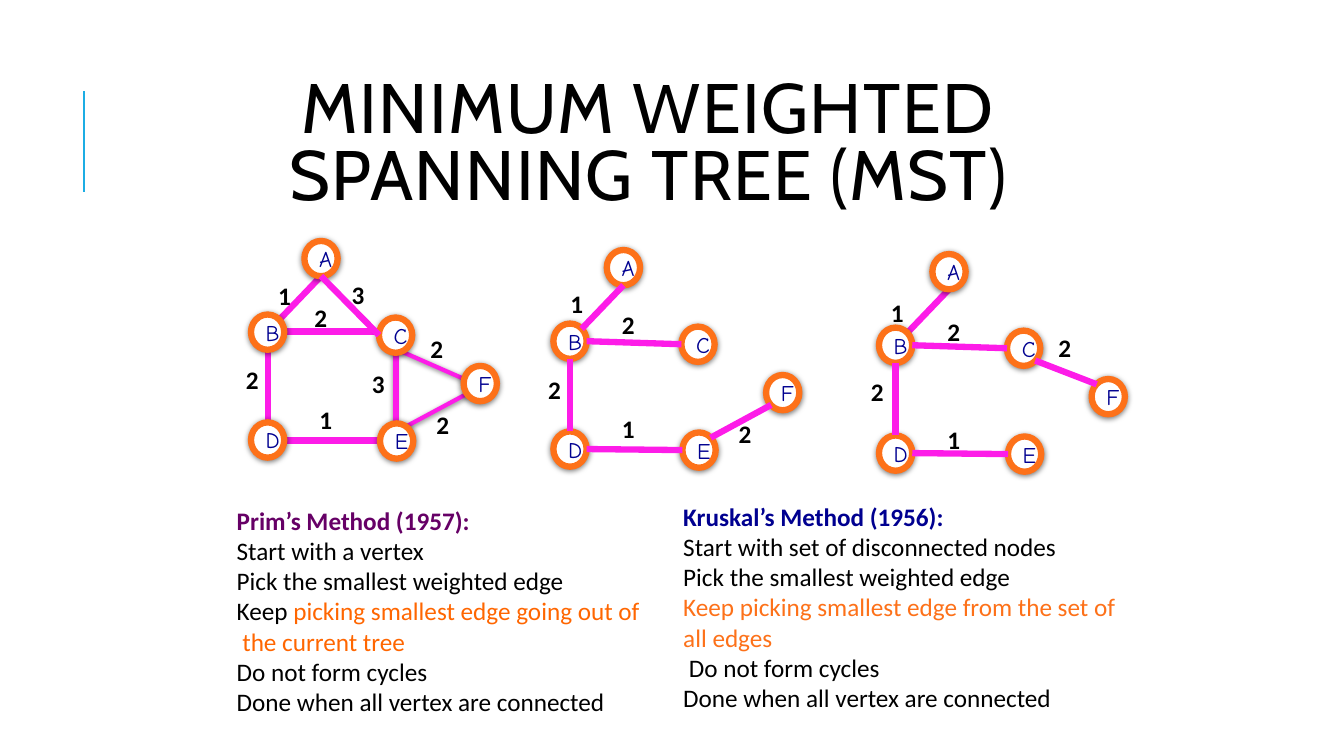
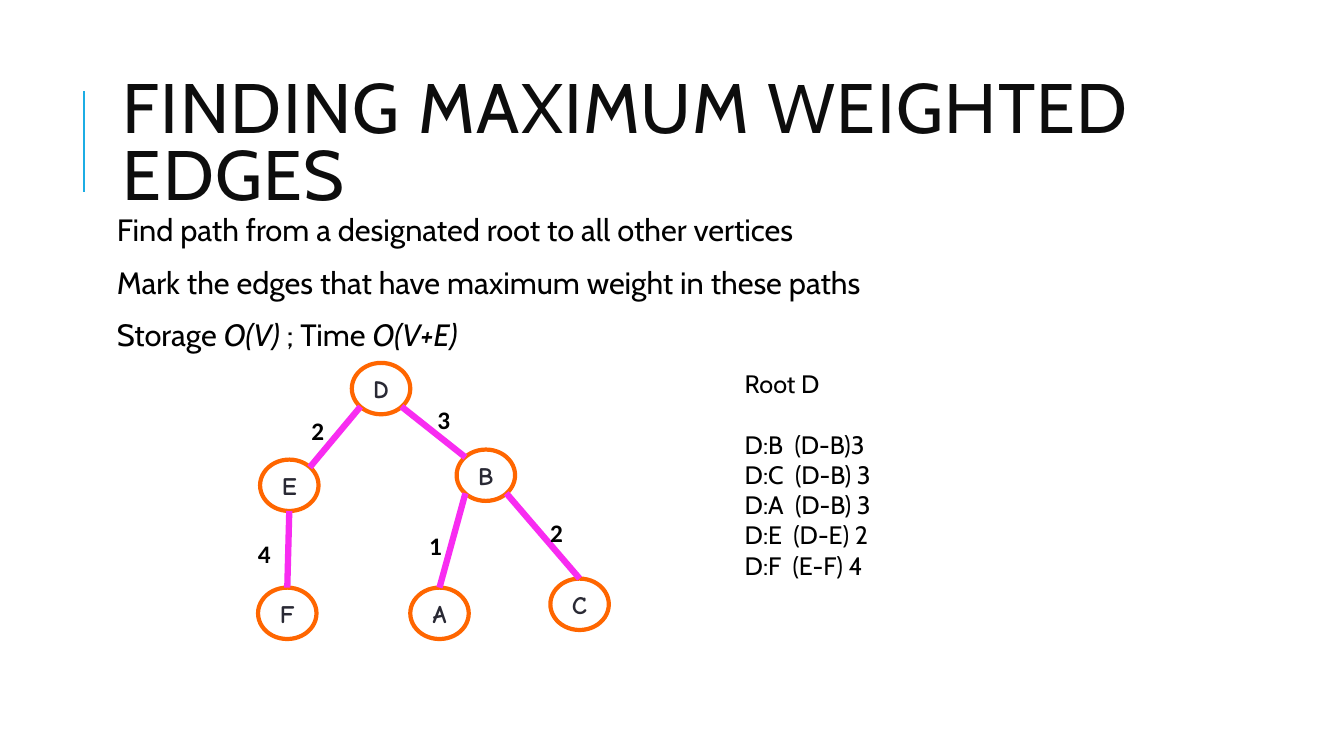
from dataclasses import dataclass, replace
from lxml.etree import SubElement as Sub
from pptx import Presentation
from pptx.dml.color import RGBColor as Rgb
from pptx.enum.shapes import MSO_CONNECTOR as Link, MSO_SHAPE as Form
from pptx.enum.text import MSO_ANCHOR as Anchor, MSO_AUTO_SIZE as Fit, PP_ALIGN as Align
from pptx.oxml.ns import qn
from pptx.util import Inches, Pt


@dataclass(frozen=True)
class Type:
    """Holds the look of one run of text."""
    font: str
    size: int
    color: str = "000000"
    bold: bool = False
    slant: bool = False


@dataclass(frozen=True)
class Ring:
    """Holds the look of a graph's nodes and edges."""
    wide: float
    high: float
    line: str
    width: float
    edge: str
    type: Type
    fill: str = ""
    shade: bool = False


class Theme:
    """Keeps the grid, colours and type sizes."""
    cell = 0.1
    cols, rows = 133.33, 75
    rule = "1CADE4"
    pink = "FD1CE8"
    bold = 4.5
    title = Type("Cabin", 50)
    lead = Type("Cabin", 22)
    note = Type("Cabin", 18)
    text = Type("Calibri", 18)
    mark = replace(text, bold=True)
    ring = Ring(3.3, 3.5, "FD7119", bold, pink,
                Type("Comic Neue", 16, "000090"), "FFFFFF", True)
    tree = Ring(5.8, 5.1, "FF6600", 3, "F82CF1",
                Type("Comic Neue", 18, "292934", True))


SITES = {"n": (0.5, 0), "s": (0.5, 1), "w": (0, 0.5), "e": (1, 0.5),
         "nw": (0.15, 0.15), "ne": (0.85, 0.15),
         "sw": (0.15, 0.85), "se": (0.85, 0.85)}


class Deck:
    """Draws the elements of a deck on its current slide."""

    def __init__(self, theme):
        """Starts an empty deck."""
        self.look = theme
        self.file = Presentation()
        self.file.slide_width = self.unit(theme.cols)
        self.file.slide_height = self.unit(theme.rows)

    def unit(self, count):
        """Turns grid cells into a length."""
        return Inches(count * self.look.cell)

    def box(self, *cells):
        """Turns a row of cell counts into lengths."""
        return [self.unit(c) for c in cells]

    def page(self, title, color, align):
        """Adds a slide with the side rule and its title."""
        self.slide = self.file.slides.add_slide(self.file.slide_layouts[5])
        self.line((8.3, 19), (8.3, 9), self.look.rule, 1.5)
        head = self.slide.shapes.title
        head.left, head.top, head.width, head.height = self.box(11.2, 6.4, 106.3, 16.4)
        frame = head.text_frame
        frame.auto_size, frame.vertical_anchor = Fit.NONE, Anchor.MIDDLE
        para = frame.paragraphs[0]
        para.alignment, para.line_spacing = align, 0.8
        run = self.run(para, title, replace(self.look.title, color=color))
        run.font._element.set("spc", "100")

    def run(self, para, text, kind):
        """Adds one run in the given type."""
        run = para.add_run()
        run.text = text
        font = run.font
        font.name, font.size = kind.font, Pt(kind.size)
        font.bold, font.italic = kind.bold, kind.slant
        font.color.rgb = Rgb.from_string(kind.color)
        return run

    def text(self, at, paras, kind, inset=None, fit=Fit.SHAPE_TO_FIT_TEXT):
        """Adds a text box; a run is a string or a pair with its changes."""
        frame = self.slide.shapes.add_textbox(*self.box(*at)).text_frame
        frame.word_wrap, frame.auto_size = True, fit
        if inset:
            (frame.margin_left, frame.margin_top,
             frame.margin_right, frame.margin_bottom) = self.box(*inset)
        for i, runs in enumerate(paras):
            para = frame.add_paragraph() if i else frame.paragraphs[0]
            for part in runs:
                word, more = (part, {}) if isinstance(part, str) else part
                self.run(para, word, replace(kind, **more))
        return frame.paragraphs

    def line(self, start, end, color, width):
        """Adds a straight line."""
        line = self.slide.shapes.add_connector(Link.STRAIGHT, *self.box(*start, *end))
        line.line.color.rgb = Rgb.from_string(color)
        line.line.width = Pt(width)
        Sub(line._element.spPr, qn("a:effectLst"))

    def shape(self, form, at, line, width, fill="", shade=False):
        """Adds a preset shape with an outline."""
        item = self.slide.shapes.add_shape(form, *self.box(*at))
        item.line.color.rgb = Rgb.from_string(line)
        item.line.width = Pt(width)
        if fill:
            item.fill.solid()
            item.fill.fore_color.rgb = Rgb.from_string(fill)
        else:
            item.fill.background()
        item.shadow.inherit = False
        if shade:
            glow = Sub(item._element.spPr.find(qn("a:effectLst")), qn("a:outerShdw"),
                       blurRad=str(Pt(4)), dist=str(Pt(1)), dir="5400000", rotWithShape="0")
            tint = Sub(glow, qn("a:srgbClr"), val="000000")
            Sub(tint, qn("a:alpha"), val="50000")
        return item

    def node(self, x, y, name, ring):
        """Adds a named node."""
        item = self.shape(Form.OVAL, (x, y, ring.wide, ring.high),
                          ring.line, ring.width, ring.fill, ring.shade)
        frame = item.text_frame
        frame.vertical_anchor = Anchor.MIDDLE
        para = frame.paragraphs[0]
        para.alignment = Align.CENTER
        self.run(para, name, ring.type)

    def graph(self, org, nodes, edges, marks, ring, back=()):
        """Adds back edges, nodes, front edges and weights around an origin."""
        left, top = org
        spots = {n: (left + x, top + y) for n, (x, y) in nodes.items()}

        def site(name, side):
            """Finds a point on a node's outline."""
            (x, y), (u, v) = spots[name], SITES[side]
            return x + u * ring.wide, y + v * ring.high

        def join(links):
            """Draws edges, each as node, side, node, side."""
            for a, out, b, into in links:
                self.line(site(a, out), site(b, into), ring.edge, self.look.bold)

        join(back)
        for name, (x, y) in spots.items():
            self.node(x, y, name, ring)
        join(edges)
        for word, x, y in marks:
            self.text((left + x, top + y, 4.1, 4), [[word]], self.look.mark)


MESH = {"C": (12.7, 7.6), "B": (0, 7.3), "D": (0, 18), "E": (12.8, 18.1),
        "F": (21.1, 12.4), "A": (5.3, 0)}
TREE = {"D": (9.3, 0), "B": (19.7, 8.6), "E": (0.2, 9.6), "F": (0, 22.3),
        "A": (15.1, 22.3), "C": (29, 21.4)}
BA, BC = ("B", "ne", "A", "s"), ("B", "e", "C", "w")
BD, DE = ("B", "s", "D", "n"), ("D", "e", "E", "w")


def span(deck):
    """Draws the slide on spanning trees."""
    look = deck.look
    deck.page("MINIMUM WEIGHTED SPANNING TREE (MST)", "000000", Align.CENTER)
    tri = deck.shape(Form.ISOSCELES_TRIANGLE, (39.3, 34.5, 8.3, 8.5), look.pink, 3, shade=True)
    tri.rotation, tri.adjustments[0] = 90, 0.45
    deck.shape(Form.RECTANGLE, (26.6, 32.9, 12.7, 10.8), look.pink, look.bold)
    deck.graph((24.9, 23.9), MESH, [("A", "s", "C", "w")],
               [("1", 1.7, 3.4), ("3", 9, 3.3), ("2", 5.3, 5.6), ("2", -1.5, 11.8),
                ("1", 5.8, 15.7), ("3", 11, 12.1), ("2", 16.8, 8.7), ("2", 17.4, 16.2)],
               look.ring, [BA])
    deck.graph((54.9, 24.8), MESH, [BA, BC, BD, DE, ("E", "ne", "F", "sw")],
               [("1", 0.7, 3.3), ("2", 5.8, 5.4), ("2", -1.5, 11.8),
                ("1", 5.8, 15.7), ("2", 17.4, 16.2)], look.ring)
    deck.graph((87.2, 25.2), MESH, [BC, BD, DE, ("C", "se", "F", "nw")],
               [("1", 0.2, 3.8), ("2", 5.8, 5.7), ("2", -1.8, 11.6),
                ("1", 5.8, 16.4), ("2", 16.8, 7.3)], look.ring, [BA])
    pick = "Pick the smallest weighted edge"
    done = "Done when all vertex are connected"
    hot, warm = {"color": "FF6600"}, {"color": "FD7119"}
    deck.text((22.5, 49.6, 47.6, 25.2), [
        [("Prim’s Method (1957):", {"color": "660066", "bold": True})],
        ["Start with a vertex"], [pick],
        ["Keep ", ("picking smallest edge going out of", hot)],
        [(" the current tree", hot)],
        ["Do not form cycles"], [done]], look.text)
    deck.text((66.8, 49.2, 47.6, 25.2), [
        [("Kruskal’s Method (1956):", {"color": "000090", "bold": True})],
        ["Start with set of disconnected nodes"], [pick],
        [("Keep picking smallest edge from the set of all edges", warm)],
        [" Do not form cycles"], [done]], look.text)


def heavy(deck):
    """Draws the slide on maximum weighted edges."""
    look = deck.look
    deck.page("FINDING MAXIMUM WEIGHTED EDGES", "0D0D0D", Align.LEFT)
    slant = {"slant": True}
    paras = deck.text((10.1, 20.8, 106.3, 44), [
        ["Find path from a designated root to all other vertices"],
        ["Mark the edges that have maximum weight in these paths"],
        ["Storage ", ("O(V)", slant), " ; Time ", ("O(V+E)", slant)]],
        look.lead, (1.5, 0.5, 0.5, 0.5), Fit.NONE)
    for para in paras:
        para.line_spacing = 0.9
        para.space_before, para.space_after = Pt(12), Pt(2)
    deck.graph((25.6, 36), TREE,
               [("D", "sw", "E", "ne"), ("D", "se", "B", "nw"), ("B", "sw", "A", "n"),
                ("B", "se", "C", "n"), ("E", "s", "F", "n")],
               [("2", 28, 14.8), ("1", 16, 16.1), ("4", -1, 16.9),
                ("2", 4.3, 4.7), ("3", 16.8, 3.6)], look.tree)
    paths = ["Root D", "D:B  (D-B)3", "D:C  (D-B) 3", "D:A  (D-B) 3",
             "D:E  (D-E) 2", "D:F  (E-F) 4"]
    paras = deck.text((72.9, 36, 26.3, 22.2), [[p] for p in paths], look.note)
    paras[1].space_before = Pt(22)


def main():
    """Builds and saves the deck."""
    deck = Deck(Theme())
    span(deck)
    heavy(deck)
    deck.file.save("out.pptx")


if __name__ == "__main__":
    main()
